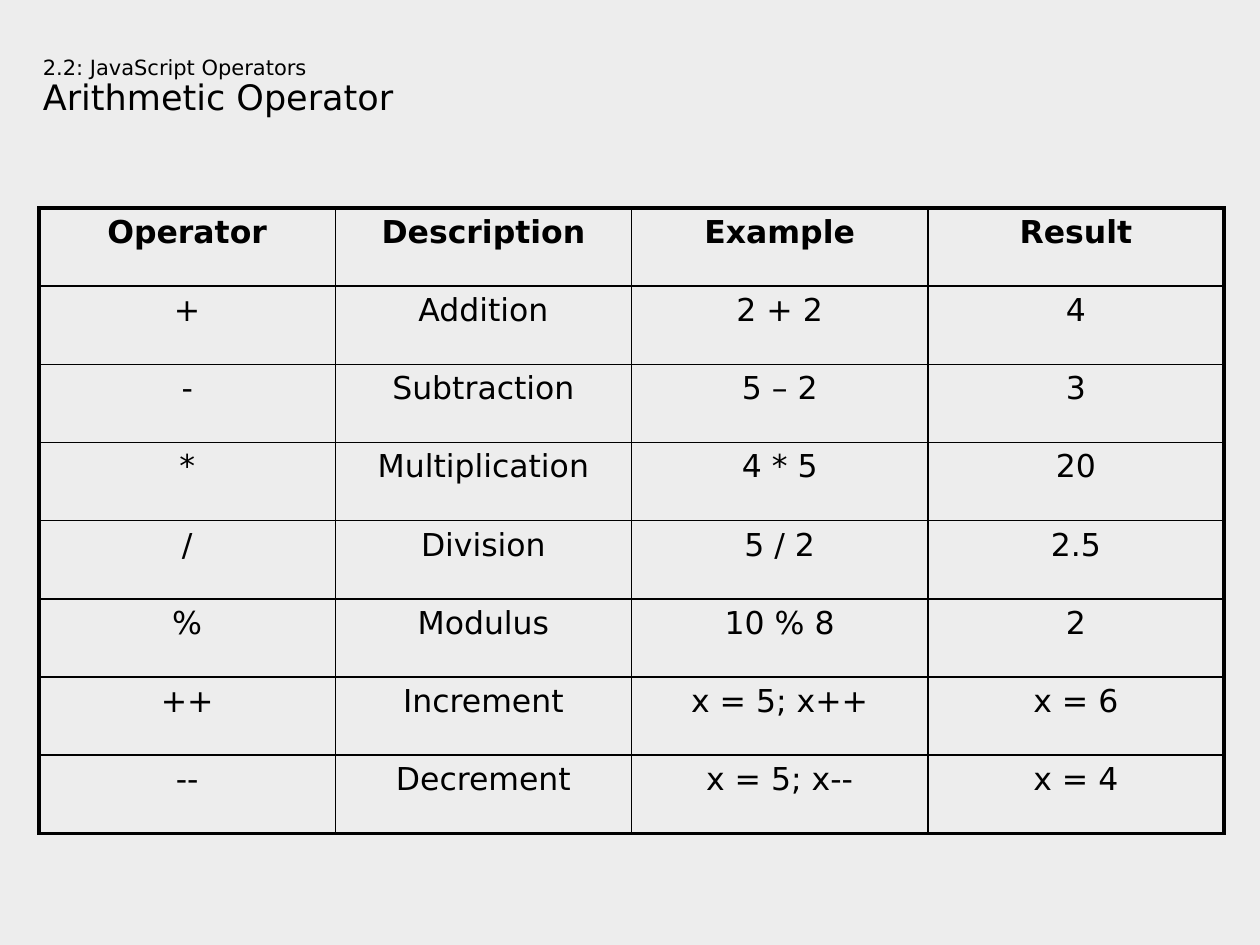
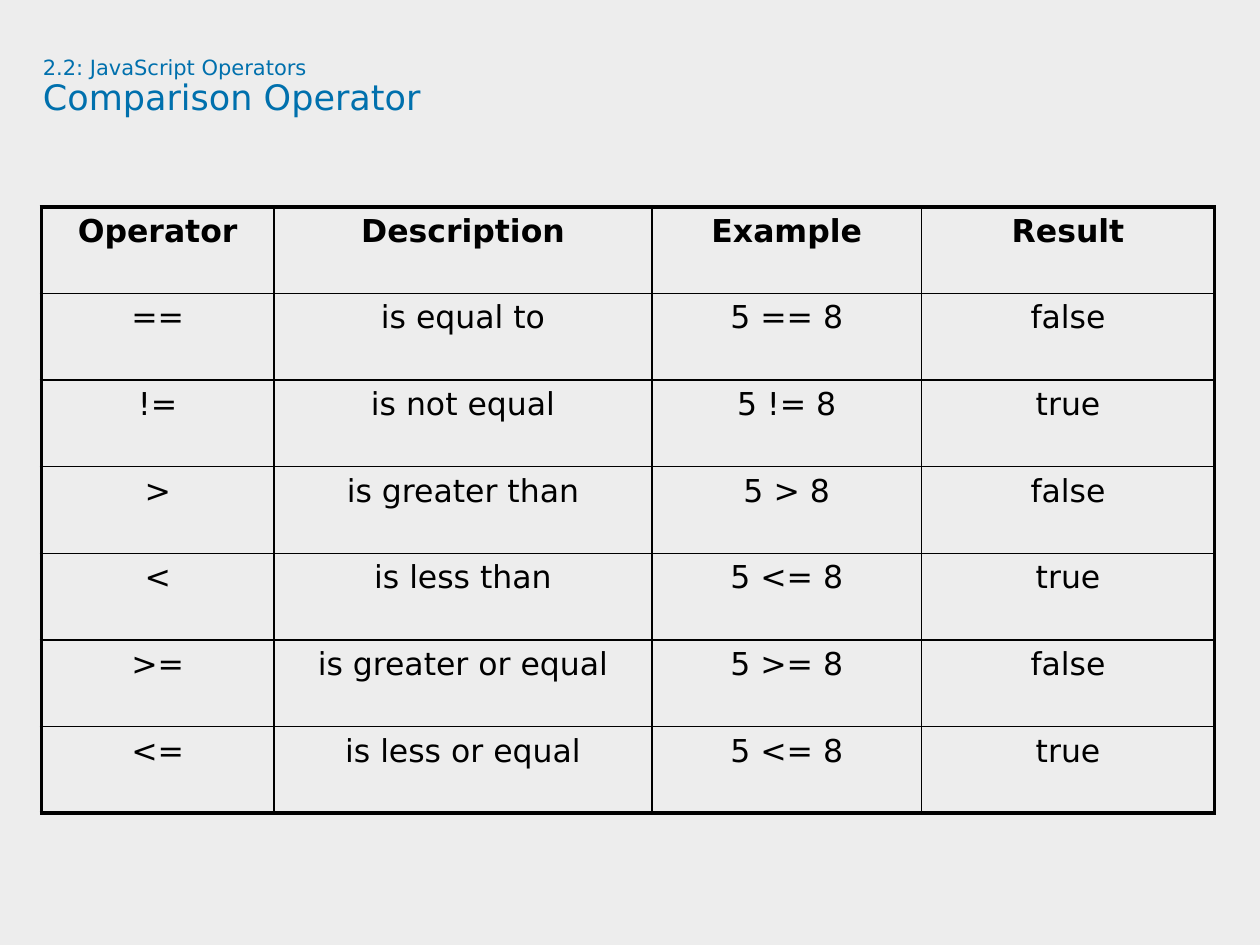
from lxml.etree import SubElement
from pptx import Presentation
from pptx.dml.color import RGBColor
from pptx.enum.text import MSO_ANCHOR, MSO_AUTO_SIZE, PP_ALIGN
from pptx.oxml.ns import qn
from pptx.util import Pt

BLACK = RGBColor(0x00, 0x00, 0x00)
BLUE = RGBColor(0x00, 0x70, 0xAD)
LIGHT_GREY = RGBColor(0xED, 0xED, 0xED)
FONT = "DejaVu Sans"
OUTER_BORDER, INNER_BORDER = Pt(2.25), Pt(1)

SECTION = "2.2: JavaScript Operators"
HEADER = ("Operator", "Description", "Example", "Result")
OPERATOR_PAGES = [
    {
        "title": "Arithmetic Operator",
        "title_color": BLACK,
        "left": 22.3,
        "top": 118.8,
        "column_widths": (169.3,) * 4,
        "row_height": 44.7,
        "rows": [
            ("+", "Addition", "2 + 2", "4"),
            ("-", "Subtraction", "5 – 2", "3"),
            ("*", "Multiplication", "4 * 5", "20"),
            ("/", "Division", "5 / 2", "2.5"),
            ("%", "Modulus", "10 % 8", "2"),
            ("++", "Increment", "x = 5; x++", "x = 6"),
            ("--", "Decrement", "x = 5; x--", "x = 4"),
        ],
    },
    {
        "title": "Comparison Operator",
        "title_color": BLUE,
        "left": 23.6,
        "top": 118.2,
        "column_widths": (133, 216, 154, 167.5),
        "row_height": 49.5,
        "rows": [
            ("==", "is equal to", "5 == 8", "false"),
            ("!=", "is not equal", "5 != 8", "true"),
            (">", "is greater than", "5 > 8", "false"),
            ("<", "is less than", "5 <= 8", "true"),
            (">=", "is greater or equal", "5 >= 8", "false"),
            ("<=", "is less or equal", "5 <= 8", "true"),
        ],
    },
]


def style_span(span, size, color, bold=False):
    span.font.name = FONT
    span.font.size = Pt(size)
    span.font.color.rgb = color
    span.font.bold = bold


def set_title(page, title, color):
    box = page.shapes.title
    box.left, box.top, box.width, box.height = Pt(24.5), Pt(33), Pt(654.5), Pt(67.7)
    frame = box.text_frame
    frame.margin_left = frame.margin_top = frame.margin_right = frame.margin_bottom = 0
    frame.vertical_anchor = MSO_ANCHOR.TOP
    frame.auto_size = MSO_AUTO_SIZE.NONE
    frame.text = f"{SECTION}\v{title}"
    para = frame.paragraphs[0]
    para.alignment = PP_ALIGN.LEFT
    para.line_spacing = 0.9
    for span, size in zip(para.runs, (12, 20)):
        style_span(span, size, color)


def set_borders(cell, outer_sides):
    """Draw all four sides of a cell, heavier where it meets the table's edge."""
    properties = cell._tc.get_or_add_tcPr()
    for position, side in enumerate("LRTB"):
        width = OUTER_BORDER if side in outer_sides else INNER_BORDER
        line = properties.makeelement(qn(f"a:ln{side}"), {"w": str(int(width))})
        fill = SubElement(line, qn("a:solidFill"))
        SubElement(fill, qn("a:srgbClr"), val=str(BLACK))
        properties.insert(position, line)


def add_operator_table(page, content):
    rows = [HEADER] + content["rows"]
    widths = content["column_widths"]
    height = content["row_height"]
    table = page.shapes.add_table(
        len(rows), len(widths), Pt(content["left"]), Pt(content["top"]),
        Pt(sum(widths)), Pt(height * len(rows)),
    ).table
    table.horz_banding = False
    for column, width in zip(table.columns, widths):
        column.width = Pt(width)
    for r, values in enumerate(rows):
        table.rows[r].height = Pt(height)
        for c, value in enumerate(values):
            cell = table.cell(r, c)
            cell.text_frame.text = value
            cell.fill.background()
            para = cell.text_frame.paragraphs[0]
            para.alignment = PP_ALIGN.CENTER
            style_span(para.runs[0], 18, BLACK, bold=r == 0)
            edges = {"L": c == 0, "R": c == len(widths) - 1,
                     "T": r == 0, "B": r == len(rows) - 1}
            set_borders(cell, [side for side, is_outer in edges.items() if is_outer])


def main():
    deck = Presentation()
    deck.slide_width, deck.slide_height = Pt(720), Pt(540)
    background = deck.slide_master.background.fill
    background.solid()
    background.fore_color.rgb = LIGHT_GREY
    title_only = deck.slide_layouts.get_by_name("Title Only")
    for content in OPERATOR_PAGES:
        page = deck.slides.add_slide(title_only)
        set_title(page, content["title"], content["title_color"])
        add_operator_table(page, content)
    deck.save("out.pptx")


if __name__ == "__main__":
    main()
